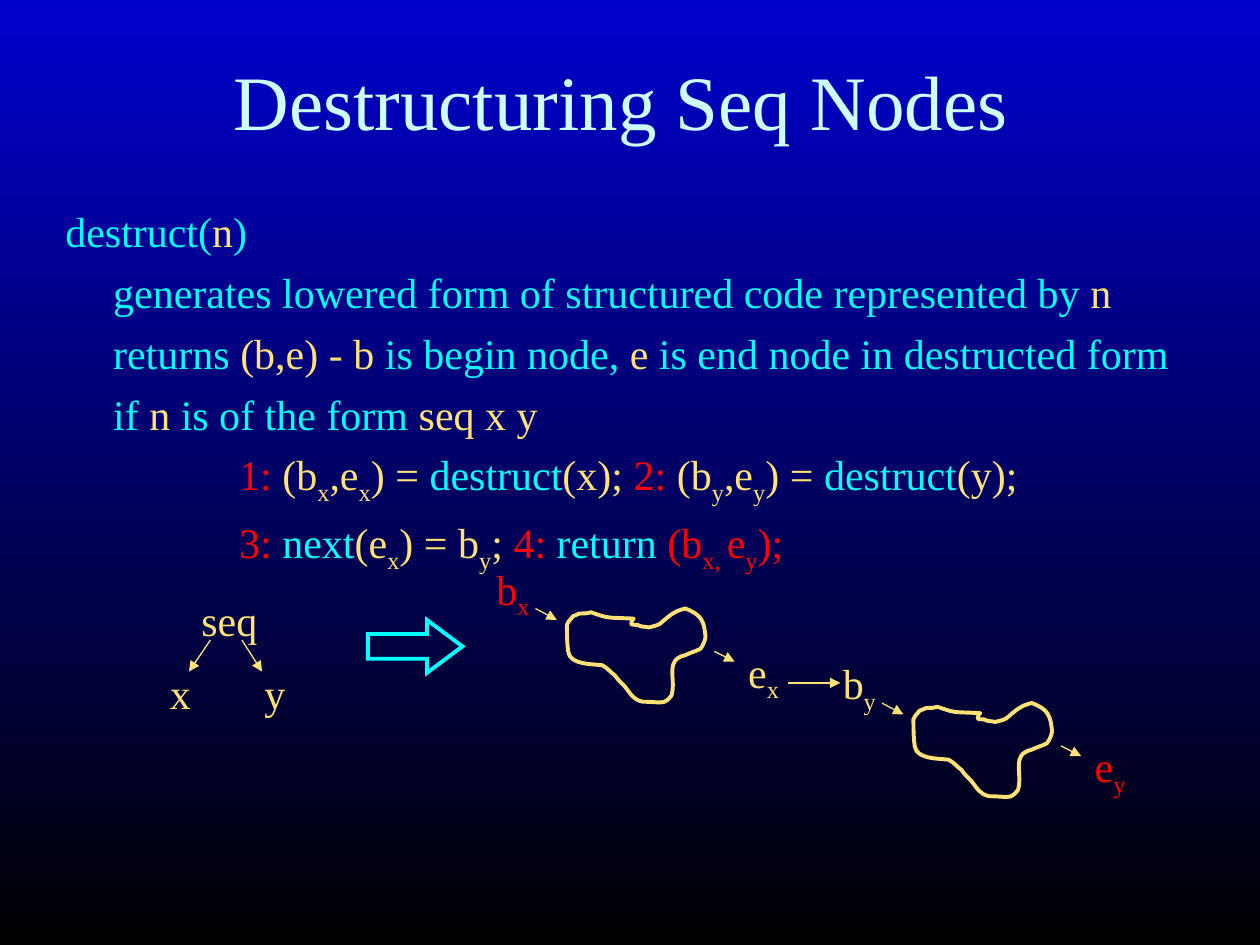
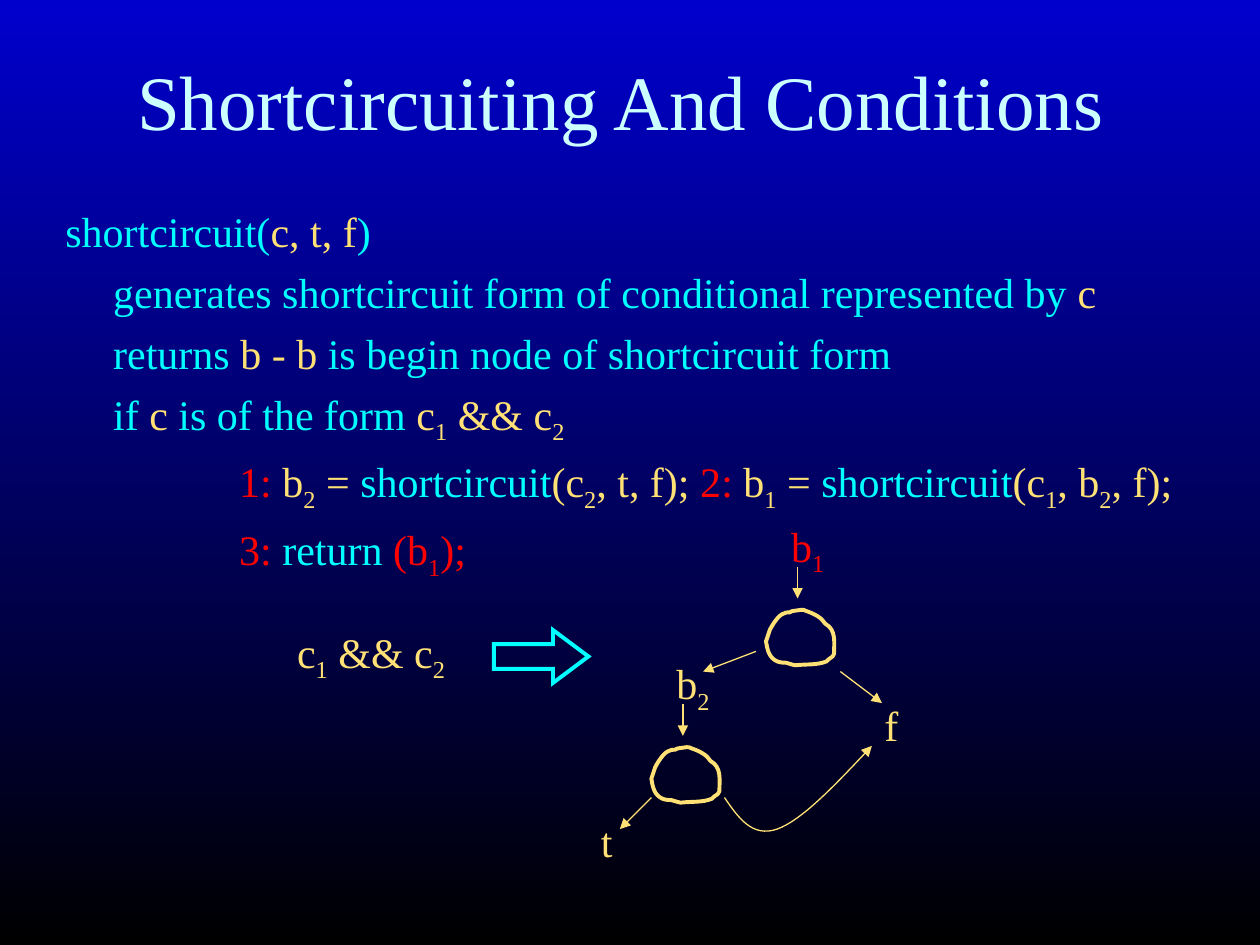
"""Build two slides on destructuring seq nodes and shortcircuiting conditions."""
import pptx
import pptx.dml.color
import pptx.enum.shapes
import pptx.enum.text
import pptx.oxml.ns
import pptx.util
from lxml import etree

Inches = pptx.util.Inches
Pt = pptx.util.Pt
RGBColor = pptx.dml.color.RGBColor
qn = pptx.oxml.ns.qn
Align = pptx.enum.text.PP_ALIGN
Anchor = pptx.enum.text.MSO_ANCHOR
AutoSize = pptx.enum.text.MSO_AUTO_SIZE

FONT = "Times New Roman"
SKY_TOP = RGBColor(0x00, 0x00, 0xCC)
SKY_BOTTOM = RGBColor(0x00, 0x00, 0x00)
PALE = RGBColor(0xCC, 0xFF, 0xFF)
AQUA = RGBColor(0x00, 0xFF, 0xFF)
GOLD = RGBColor(0xFF, 0xE1, 0x75)
RED = RGBColor(0xFF, 0x00, 0x00)
INKS = {"p": PALE, "c": AQUA, "y": GOLD, "r": RED}

REGION = """.53,.08
.29,.07 .34,.08 .19,.03  .16,.04 .13,.04 .10,.04  .08,.05 .05,.06 .05,.06
0,.12 .02,.09 0,.13  0,.20 0,.27 .01,.34  .02,.45 .21,.44 .28,.45
.32,.47 .35,.51 .38,.53  .40,.56 .43,.59 .46,.62  .51,.68 .52,.72 .60,.74
.75,.74 .77,.77 .83,.69  .87,.55 .77,.41 .94,.37  .98,.35 1.02,.34 1.06,.32
1.08,.29 1.09,.27 1.10,.23  1.09,.10 1.07,.05 .94,0  .85,.02 .81,.06 .74,.12
.71,.14 .68,.14 .65,.15  .60,.14 .60,.15 .56,.13  .54,.13 .51,.13 .51,.12
.51,.10 .52,.09 .53,.08"""
CONDITION = """.21,.02
.20,.02 .19,.03 .19,.03  .17,.03 .15,.03 .14,.04  .10,.05 .05,.13 .03,.17
.02,.20 0,.26 0,.26  .01,.32 .02,.39 .09,.42  .12,.43 .14,.43 .16,.43
.19,.44 .23,.45 .23,.45  .33,.44 .40,.45 .48,.42  .53,.37 .52,.40 .54,.36
.54,.27 .56,.17 .47,.12  .44,.07 .38,.04 .32,.02  .31,.02 .29,0 .28,.01
.26,.01 .23,.02 .21,.02"""
FALSE_EXIT = "0,.41 .11,.57 .22,.73 .42,.66 .61,.59 .89,.30 1.17,0"


def write(p, text, size=24, align=Align.LEFT, before=0, indent=0, tabs=0):
    """Fill a paragraph from 'ink:text|ink:text', where _..._ marks a subscript."""
    pPr = p._p.get_or_add_pPr()
    if indent:
        pPr.set("marL", str(Inches(indent)))
        pPr.set("indent", str(-Inches(indent)))
    p.alignment = align
    p.space_before = Pt(before)
    if tabs:
        pPr.set("defTabSz", str(Inches(1)))
        tab_list = etree.SubElement(pPr, qn("a:tabLst"))
        for i in range(tabs):
            etree.SubElement(tab_list, qn("a:tab"), pos=str(Inches(i)), algn="l")
    for piece in text.split("|"):
        ink, _, words = piece.partition(":")
        for i, part in enumerate(words.split("_")):
            if not part:
                continue
            r = p.add_run()
            r.text = part
            r.font.name = FONT
            r.font.size = Pt(size)
            r.font.color.rgb = INKS[ink]
            if i % 2:
                r.font._element.set("baseline", "-25000")


def bend(sp):
    """Turn every three straight segments of a freeform into one cubic curve."""
    segments = list(sp._element.iter(qn("a:lnTo")))
    for first, second, third in zip(segments[::3], segments[1::3], segments[2::3]):
        cubic = etree.Element(qn("a:cubicBezTo"))
        first.addprevious(cubic)
        for segment in (first, second, third):
            cubic.append(segment[0])
            segment.getparent().remove(segment)


def add_arrowhead(sp):
    """Put a triangle at the end of a line."""
    etree.SubElement(sp._element.spPr.find(qn("a:ln")), qn("a:tailEnd"), type="triangle")


class Deck:
    """Hold the presentation, its style and the current slide."""

    def __init__(self):
        """Set the page size and the gradient shared by all slides."""
        self.prs = pptx.Presentation()
        self.prs.slide_width, self.prs.slide_height = Inches(10), Inches(7.5)
        fill = self.prs.slide_master.background.fill
        fill.gradient()
        fill.gradient_angle = 270
        for stop, color, position in zip(fill.gradient_stops, (SKY_TOP, SKY_BOTTOM), (0, 1)):
            stop.color.rgb = color
            stop.position = position

    def add_slide(self, title):
        """Start a slide with a centred title."""
        self.s = self.prs.slides.add_slide(self.prs.slide_layouts[5])
        sp = self.s.shapes.title
        sp.left, sp.top, sp.width, sp.height = map(Inches, (0.42, 0.17, 9.17, 1.25))
        tf = sp.text_frame
        tf.word_wrap = True
        tf.auto_size = AutoSize.NONE
        tf.vertical_anchor = Anchor.MIDDLE
        write(tf.paragraphs[0], "p:" + title, size=44, align=Align.CENTER)

    def body(self, lines, width):
        """Add the algorithm description."""
        tf = self.s.shapes.add_textbox(*map(Inches, (0.42, 1.58, width, 2.58))).text_frame
        tf.word_wrap = True
        for i, line in enumerate(lines):
            p = tf.add_paragraph() if i else tf.paragraphs[0]
            write(p, line, before=6 if i else 0, indent=0.38, tabs=8)

    def label(self, text, x, y, width, height=0.5):
        """Add a one-line label."""
        sp = self.s.shapes.add_textbox(*map(Inches, (x, y, width, height)))
        tf = sp.text_frame
        tf.word_wrap = False
        tf.auto_size = AutoSize.SHAPE_TO_FIT_TEXT
        write(tf.paragraphs[0], text)

    def arrow(self, x1, y1, x2, y2):
        """Add a thin straight arrow."""
        straight = pptx.enum.shapes.MSO_CONNECTOR.STRAIGHT
        sp = self.s.shapes.add_connector(straight, *map(Inches, (x1, y1, x2, y2)))
        sp.line.color.rgb = GOLD
        sp.line.width = Pt(0.75)
        add_arrowhead(sp)
        etree.SubElement(sp._element.spPr, qn("a:effectLst"))

    def curve(self, curve, x, y, width=2.25, close=True):
        """Add an unfilled curved outline with its corner at x, y."""
        pairs = [map(float, pair.split(",")) for pair in curve.split()]
        start, *rest = [(Inches(x + px), Inches(y + py)) for px, py in pairs]
        builder = self.s.shapes.build_freeform(*start)
        builder.add_line_segments(rest, close=close)
        sp = builder.convert_to_shape()
        bend(sp)
        self.outline(sp, GOLD, width)
        return sp

    def block_arrow(self, x, y):
        """Add the hollow arrow between the two forms."""
        kind = pptx.enum.shapes.MSO_SHAPE.RIGHT_ARROW
        sp = self.s.shapes.add_shape(kind, *map(Inches, (x, y, 0.75, 0.42)))
        sp.adjustments[0], sp.adjustments[1] = 0.467, 0.67
        self.outline(sp, AQUA, 2.25)
        etree.SubElement(sp._element.spPr.find(qn("a:ln")), qn("a:miter"), lim="800000")

    def outline(self, sp, color, width):
        """Leave a shape with only its outline."""
        sp.shadow.inherit = False
        sp.fill.background()
        sp.line.color.rgb = color
        sp.line.width = Pt(width)

    def region(self, x, y, begin, end):
        """Add a code region with its begin and end nodes."""
        self.label(begin, x - 0.66, y - 0.41, 0.48, 0.56)
        self.label(end, x + 1.34, y + 0.25, 0.46, 0.56)
        self.curve(REGION, x, y)
        self.arrow(x - 0.25, y, x - 0.08, y + 0.09)
        self.arrow(x + 1.17, y + 0.34, x + 1.33, y + 0.42)

    def condition(self, x, y, begin):
        """Add a condition node with its entry."""
        self.label(begin, x + 0.1, y - 0.75, 0.48, 0.56)
        self.curve(CONDITION, x, y)
        self.arrow(x + 0.25, y - 0.33, x + 0.25, y - 0.08)


def seq_slide(deck):
    """Show how a seq node is destructured."""
    deck.add_slide("Destructuring Seq Nodes ")
    deck.body([
        "c:destruct(|y:n|c:)",
        "c:\tgenerates lowered form of structured code represented by |y:n",
        "c:\treturns |y:(b,e) - b |c:is begin node, |y:e|c: is end node in destructed form",
        "c:\tif |y:n|c: is of the form |y:seq x y",
        "c:\t\t|r:1:|y: (b_x_,e_x_) = |c:destruct|y:(x); "
        "|r:2:|y: (b_y_,e_y_) = |c:destruct|y:(y);",
        "c:\t\t|r:3: |c:next|y:(e_x_) = b_y_; |r:4: |c:return |r:(b_x, _e_y_);",
    ], width=9.17)
    deck.label("y:seq", 1.5, 4.67, 0.67)
    deck.label("y:x", 1.25, 5.25, 0.38)
    deck.label("y:y", 2, 5.25, 0.38)
    deck.arrow(1.67, 5.08, 1.5, 5.33)
    deck.arrow(1.92, 5.08, 2.08, 5.33)
    deck.region(4.5, 4.83, "r:b_x_", "y:e_x_")
    deck.region(7.25, 5.58, "y:b_y_", "r:e_y_")
    deck.arrow(6.25, 5.42, 6.67, 5.42)
    deck.block_arrow(2.92, 4.92)


def and_slide(deck):
    """Show how an and condition is shortcircuited."""
    deck.add_slide("Shortcircuiting And Conditions ")
    deck.body([
        "c:shortcircuit(|y:c, t, f|c:)",
        "c:\tgenerates shortcircuit form of conditional represented by |y:c",
        "c:\treturns |y:b - b |c:is begin node of shortcircuit form",
        "c:\tif |y:c|c: is of the form |y:c_1_ && c_2_",
        "c:\t\t|r:1:|y: b_2_ = |c:shortcircuit|y:(c_2_, t, f); "
        "|r:2:|y: b_1_ = |c:shortcircuit|y:(c_1_, b_2_, f);",
        "c:\t\t|r:3: |c:return |r:(b_1_);",
    ], width=9.42)
    deck.label("y:c_1_ && c_2_", 2.26, 4.92, 1.4, 0.56)
    deck.block_arrow(3.92, 5)
    deck.condition(6.08, 4.83, "r:b_1_")
    deck.condition(5.17, 5.92, "y:b_2_")
    deck.label("y:f", 6.92, 5.5, 0.33)
    deck.label("y:t", 4.67, 6.42, 0.31)
    deck.arrow(6.67, 5.33, 7, 5.58)
    deck.arrow(6, 5.17, 5.58, 5.33)
    deck.arrow(5.17, 6.33, 4.92, 6.58)
    add_arrowhead(deck.curve(FALSE_EXIT, 5.75, 5.92, width=0.75, close=False))


def main():
    """Build and save the slides."""
    deck = Deck()
    seq_slide(deck)
    and_slide(deck)
    deck.prs.save("out.pptx")


if __name__ == "__main__":
    main()
